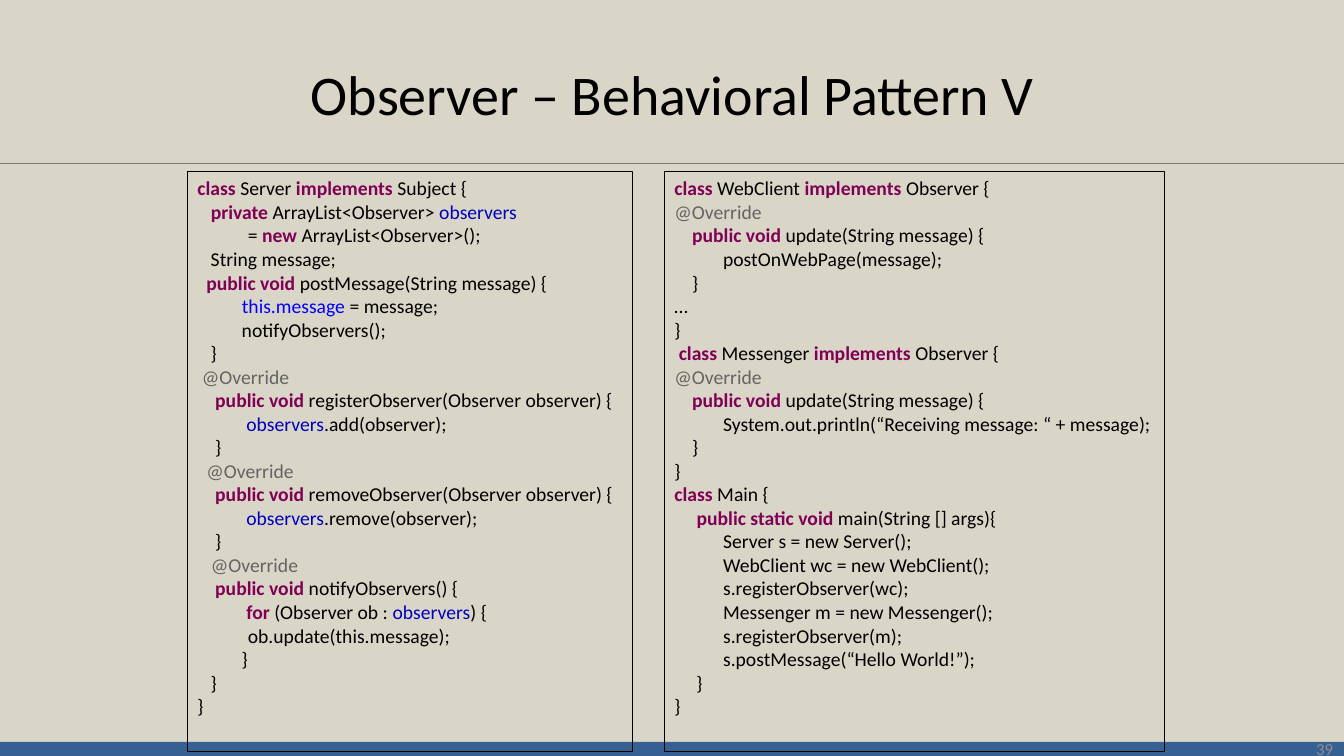
from lxml import etree
from pptx import Presentation
from pptx.dml.color import RGBColor
from pptx.enum import shapes, text
from pptx.oxml import ns
from pptx.util import Inches, Pt

BACKGROUND = RGBColor(0xD9, 0xD5, 0xC7)
BAR = RGBColor(0x37, 0x60, 0x92)
RULE = RGBColor(0x7C, 0x7C, 0x6C)
BLACK = RGBColor(0, 0, 0)
NUMBER = RGBColor(0x8C, 0x8C, 0x8C)
KEYWORD = RGBColor(0x7F, 0x00, 0x55)
MARKED = {
    "@Override": RGBColor(0x64, 0x64, 0x64),
    "observers": RGBColor(0x00, 0x00, 0xC0),
    "this.message": RGBColor(0x00, 0x00, 0xFF),
}
FONT = "Calibri"

SERVER_CODE = """|class| Server |implements| Subject {
   |private| ArrayList<Observer> |observers|
\t= |new| ArrayList<Observer>();
   String message;
  |public void| postMessage(String message) {
          |this.message| = message;
          notifyObservers();
   }
 |@Override|
    |public void| registerObserver(Observer observer) {
           |observers|.add(observer);
    }
  |@Override|
    |public void| removeObserver(Observer observer) {
           |observers|.remove(observer);
    }
   |@Override|
    |public void| notifyObservers() {
           |for| (Observer ob : |observers|) {
\tob.update(this.message);
          }
   }
}"""

CLIENT_CODE = """|class| WebClient |implements| Observer {
|@Override|
    |public void| update(String message) {
           postOnWebPage(message);
    }
…
}
 |class| Messenger |implements| Observer {
|@Override|
    |public void| update(String message) {
           System.out.println(“Receiving message: “ + message);
    }
}
|class| Main {
     |public static void| main(String [] args){
           Server s = new Server();
           WebClient wc = new WebClient();
           s.registerObserver(wc);
           Messenger m = new Messenger();
           s.registerObserver(m);
           s.postMessage(“Hello World!”);
     }
}"""


def style(r, size, color, bold=False):
    """Format one run."""
    r.font.name = FONT
    r.font.size = Pt(size)
    r.font.bold = bold
    r.font.color.rgb = color


def add_label(slide, box, label, size, color, align):
    """Add a single line of vertically centred text."""
    tf = slide.shapes.add_textbox(*map(Inches, box)).text_frame
    tf.word_wrap = True
    tf.vertical_anchor = text.MSO_ANCHOR.MIDDLE
    p = tf.paragraphs[0]
    p.text = label
    p.alignment = align
    style(p.runs[0], size, color)


def add_rect(slide, box):
    """Add a rectangle without shadow."""
    sp = slide.shapes.add_shape(shapes.MSO_SHAPE.RECTANGLE, *map(Inches, box))
    sp.shadow.inherit = False
    return sp


def add_bar(slide, box):
    """Add the solid footer bar."""
    sp = add_rect(slide, box)
    sp.fill.solid()
    sp.fill.fore_color.rgb = BAR
    sp.line.fill.background()


def add_rule(slide, y):
    """Add a full-width horizontal line."""
    cxn = slide.shapes.add_connector(
        shapes.MSO_CONNECTOR.STRAIGHT, 0, Inches(y), Inches(13.33), Inches(y))
    cxn.line.color.rgb = RULE
    cxn.line.width = Pt(1)
    etree.SubElement(cxn._element.spPr, ns.qn("a:effectLst"))


def add_code(slide, box, code):
    """Add an outlined listing; text between bars is highlighted."""
    sp = add_rect(slide, box)
    sp.fill.background()
    sp.line.color.rgb = BLACK
    sp.line.width = Pt(0.75)
    tf = sp.text_frame
    tf.word_wrap = True
    tf.vertical_anchor = text.MSO_ANCHOR.TOP
    for i, line in enumerate(code.split("\n")):
        p = tf.add_paragraph() if i else tf.paragraphs[0]
        p.alignment = text.PP_ALIGN.LEFT
        for j, part in enumerate(line.split("|")):
            if not part:
                continue
            r = p.add_run()
            r.text = part
            marked = j % 2 == 1
            color = MARKED.get(part, KEYWORD) if marked else BLACK
            style(r, 14, color, marked and part not in MARKED)


def main():
    """Build the slide."""
    prs = Presentation()
    prs.slide_width = Inches(13.33)
    prs.slide_height = Inches(7.5)
    slide = prs.slides.add_slide(prs.slide_layouts[6])
    slide.background.fill.solid()
    slide.background.fill.fore_color.rgb = BACKGROUND
    add_bar(slide, (0, 7.36, 13.33, 0.14))
    add_rule(slide, 1.62)
    add_label(slide, (0.67, 0.3, 12, 1.25), "Observer – Behavioral Pattern V",
              40, BLACK, text.PP_ALIGN.CENTER)
    add_label(slide, (10.21, 7.23, 3.11, 0.4), "39", 12, NUMBER, text.PP_ALIGN.RIGHT)
    add_code(slide, (1.86, 1.7, 4.41, 5.76), SERVER_CODE)
    add_code(slide, (6.59, 1.7, 4.96, 5.76), CLIENT_CODE)
    prs.save("out.pptx")


if __name__ == "__main__":
    main()
